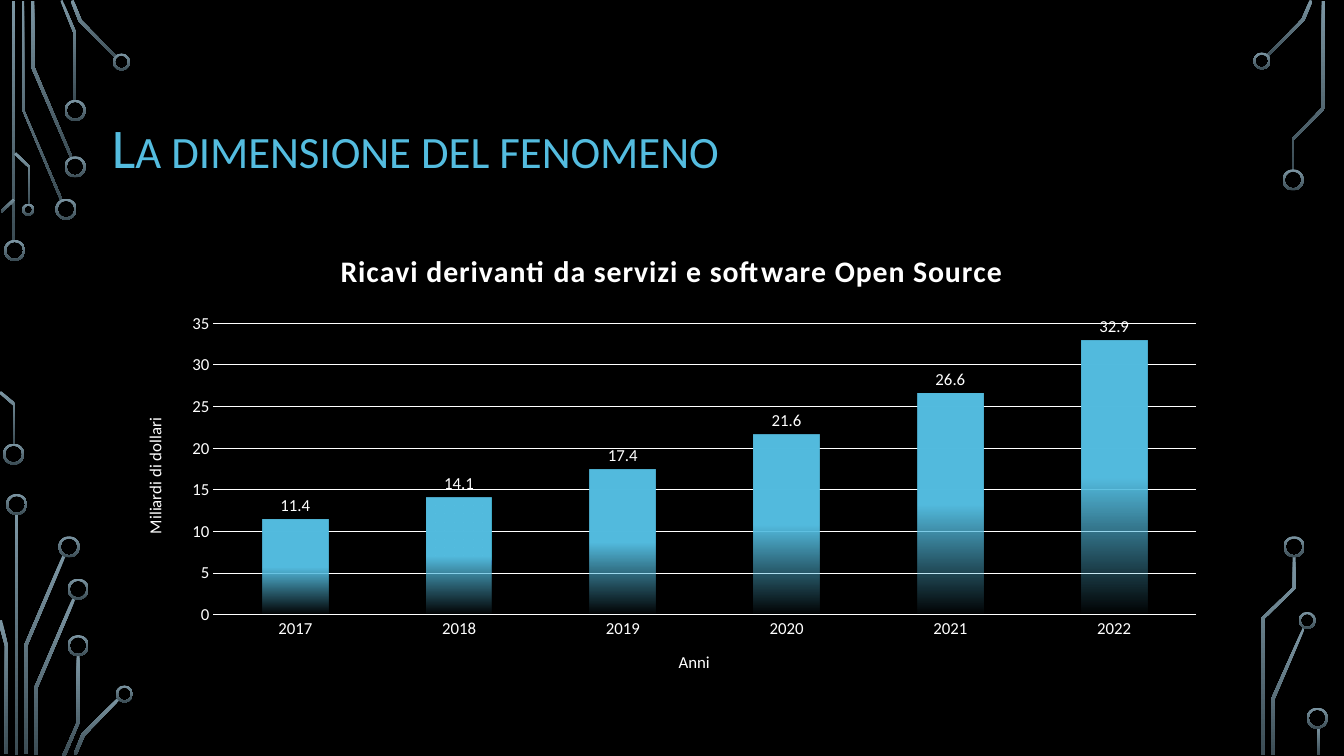
import pptx
import pptx.chart.data
import pptx.dml.color
import pptx.enum.chart
import pptx.enum.shapes
import pptx.enum.text
import pptx.oxml
import pptx.oxml.ns
import pptx.util

PX = pptx.util.Inches(1) // 100
COLOR = pptx.dml.color.RGBColor.from_string
THEME = {
    "background": COLOR("000000"),
    "accent": COLOR("54BCDF"),
    "text": COLOR("FFFFFF"),
    "trace_top": COLOR("7C96A3"),
    "trace_bottom": COLOR("3B4C54"),
    "font": "Calibri",
    "title_size": 40,
    "chart_title_size": 21.3,
    "label_size": 12,
}


def style_font(font, size, color="text", bold=False):
    values = {"name": THEME["font"], "size": pptx.util.Pt(THEME[size]), "bold": bold}
    for name, value in values.items():
        setattr(font, name, value)
    font.color.rgb = THEME[color]


def style_trace(shape):
    shape.shadow.inherit = False
    shape.line.fill.background()
    shape.fill.gradient()
    shape.fill.gradient_angle = 270
    for stop, color in zip(shape.fill.gradient_stops, ("trace_top", "trace_bottom")):
        stop.color.rgb = THEME[color]


presentation = pptx.Presentation()
presentation.slide_width = 1333 * PX
presentation.slide_height = 750 * PX
slide = presentation.slides.add_slide(presentation.slide_layouts[5])
slide.background.fill.solid()
slide.background.fill.fore_color.rgb = THEME["background"]

circuit = slide.shapes.add_group_shape()

straight_traces = [(12, 1, 239), (15, 510, 239), (1306, 721, 28)]
for left, top, height in straight_traces:
    style_trace(circuit.shapes.add_shape(
        pptx.enum.shapes.MSO_SHAPE.RECTANGLE, left * PX, top * PX, 3 * PX, height * PX))

bent_traces = [
    [(60, 199), (22, 109), (22, 1), (24, 1), (24, 109), (62, 198)],
    [(70, 157), (31, 67), (31, 1), (34, 1), (34, 66), (72, 156)],
    [(76, 100), (73, 100), (73, 33), (60, 1), (62, 0), (76, 33)],
    [(115, 58), (78, 21), (70, 1), (73, 0), (81, 20), (116, 56)],
    [(2, 211), (1, 209), (13, 197), (15, 199)],
    [(15, 441), (13, 441), (13, 402), (-1, 390), (1, 388), (15, 400)],
    [(30, 203), (28, 203), (28, 166), (14, 153), (16, 151), (30, 165)],
    [(27, 748), (24, 748), (24, 640), (62, 551), (65, 552), (27, 641)],
    [(8, 748), (5, 748), (5, 641), (-2, 616), (2, 615), (8, 641)],
    [(37, 749), (34, 749), (34, 682), (72, 593), (75, 594), (37, 683)],
    [(65, 750), (62, 749), (76, 717), (76, 650), (79, 650), (79, 717)],
    [(76, 749), (73, 748), (81, 728), (117, 692), (119, 694), (84, 730)],
    [(1258, 56), (1256, 55), (1291, 19), (1299, 0), (1302, 1), (1294, 20)],
    [(1264, 749), (1261, 749), (1261, 693), (1292, 623), (1294, 624), (1264, 694)],
    [(1283, 169), (1281, 169), (1281, 138), (1311, 107), (1311, 1),
     (1314, 1), (1314, 108), (1283, 139)],
    [(1254, 749), (1251, 749), (1251, 613), (1282, 583), (1282, 552),
     (1285, 552), (1285, 584), (1254, 614)],
]
for start, *corners in bent_traces:
    builder = circuit.shapes.build_freeform(*start, scale=PX)
    builder.add_line_segments(corners, close=True)
    style_trace(builder.convert_to_shape())

ring_positions = {
    21: [(4, 238), (3, 440), (55, 197), (64, 155), (64, 99), (6, 490), (58, 532),
         (67, 574), (67, 630), (1272, 168), (1273, 532), (1296, 702)],
    17: [(112, 53), (115, 680), (1243, 52), (1288, 607)],
    12: [(22, 202)],
}
for size, positions in ring_positions.items():
    for left, top in positions:
        ring = circuit.shapes.add_shape(
            pptx.enum.shapes.MSO_SHAPE.DONUT, left * PX, top * PX, size * PX, size * PX)
        ring.adjustments[0] = 2 / size
        style_trace(ring)

title = slide.shapes.title
for name, value in {"left": 101, "top": 68, "width": 1131, "height": 162}.items():
    setattr(title, name, value * PX)
frame = title.text_frame
frame.text = "La dimensione del fenomeno"
frame.word_wrap = True
frame.auto_size = pptx.enum.text.MSO_AUTO_SIZE.NONE
frame.vertical_anchor = pptx.enum.text.MSO_ANCHOR.MIDDLE
paragraph = frame.paragraphs[0]
paragraph.alignment = pptx.enum.text.PP_ALIGN.LEFT
paragraph.line_spacing = 0.9
style_font(paragraph.runs[0].font, "title_size", "accent")
title.element.xpath(".//a:rPr")[0].set("cap", "small")

data = pptx.chart.data.CategoryChartData()
data.categories = ["2017", "2018", "2019", "2020", "2021", "2022"]
data.add_series("Series 1", [11.4, 14.1, 17.4, 21.6, 26.6, 32.9])
chart = slide.shapes.add_chart(
    pptx.enum.chart.XL_CHART_TYPE.COLUMN_CLUSTERED,
    125 * PX, 229 * PX, 1083 * PX, 459 * PX, data).chart
chart.has_legend = False
style_font(chart.font, "label_size")

headings = [
    (chart.chart_title, "Ricavi derivanti da servizi e software Open Source", "chart_title_size", True),
    (chart.category_axis.axis_title, "Anni", "label_size", False),
    (chart.value_axis.axis_title, "Miliardi di dollari", "label_size", False),
]
for heading, text, size, bold in headings:
    heading.text_frame.text = text
    style_font(heading.text_frame.paragraphs[0].runs[0].font, size, bold=bold)
chart.chart_title.include_in_layout = False
chart.chart_title.text_frame.paragraphs[0].runs[0].font._element.set("spc", "80")

for axis in (chart.category_axis, chart.value_axis):
    axis.major_tick_mark = pptx.enum.chart.XL_TICK_MARK.NONE
    axis.minor_tick_mark = pptx.enum.chart.XL_TICK_MARK.NONE
    axis.format.line.fill.background()
    style_font(axis.tick_labels.font, "label_size")
for name, value in {"minimum_scale": 0, "maximum_scale": 35, "major_unit": 5}.items():
    setattr(chart.value_axis, name, value)
grid_line = chart.value_axis.major_gridlines.format.line
grid_line.width = pptx.util.Pt(0.75)
grid_line.color.rgb = THEME["text"]

plot = chart.plots[0]
plot.gap_width = 150
plot.vary_by_categories = False
plot.has_data_labels = True
labels = plot.data_labels
labels.show_value = True
labels.position = pptx.enum.chart.XL_LABEL_POSITION.OUTSIDE_END
style_font(labels.font, "label_size")

fill = plot.series[0].format.fill
fill.gradient()
fill.gradient_angle = 270
for stop, position in zip(fill.gradient_stops, (0.5, 1)):
    stop.position = position
    stop.color.rgb = THEME["accent"]
bar_colors = plot.series[0]._element.xpath("./c:spPr//a:srgbClr")
bar_colors[-1].append(pptx.oxml.parse_xml(
    f'<a:alpha {pptx.oxml.ns.nsdecls("a")} val="0"/>'))

plot_area = chart._chartSpace.xpath(".//c:plotArea")[0]
for layout in plot_area.xpath("./c:layout"):
    plot_area.remove(layout)
plot_area.insert(0, pptx.oxml.parse_xml(
    f'<c:layout {pptx.oxml.ns.nsdecls("c")}><c:manualLayout><c:layoutTarget val="inner"/>'
    '<c:xMode val="edge"/><c:yMode val="edge"/><c:x val="0.08"/><c:y val="0.2"/>'
    '<c:w val="0.9"/><c:h val="0.63"/></c:manualLayout></c:layout>'))

presentation.save("out.pptx")
